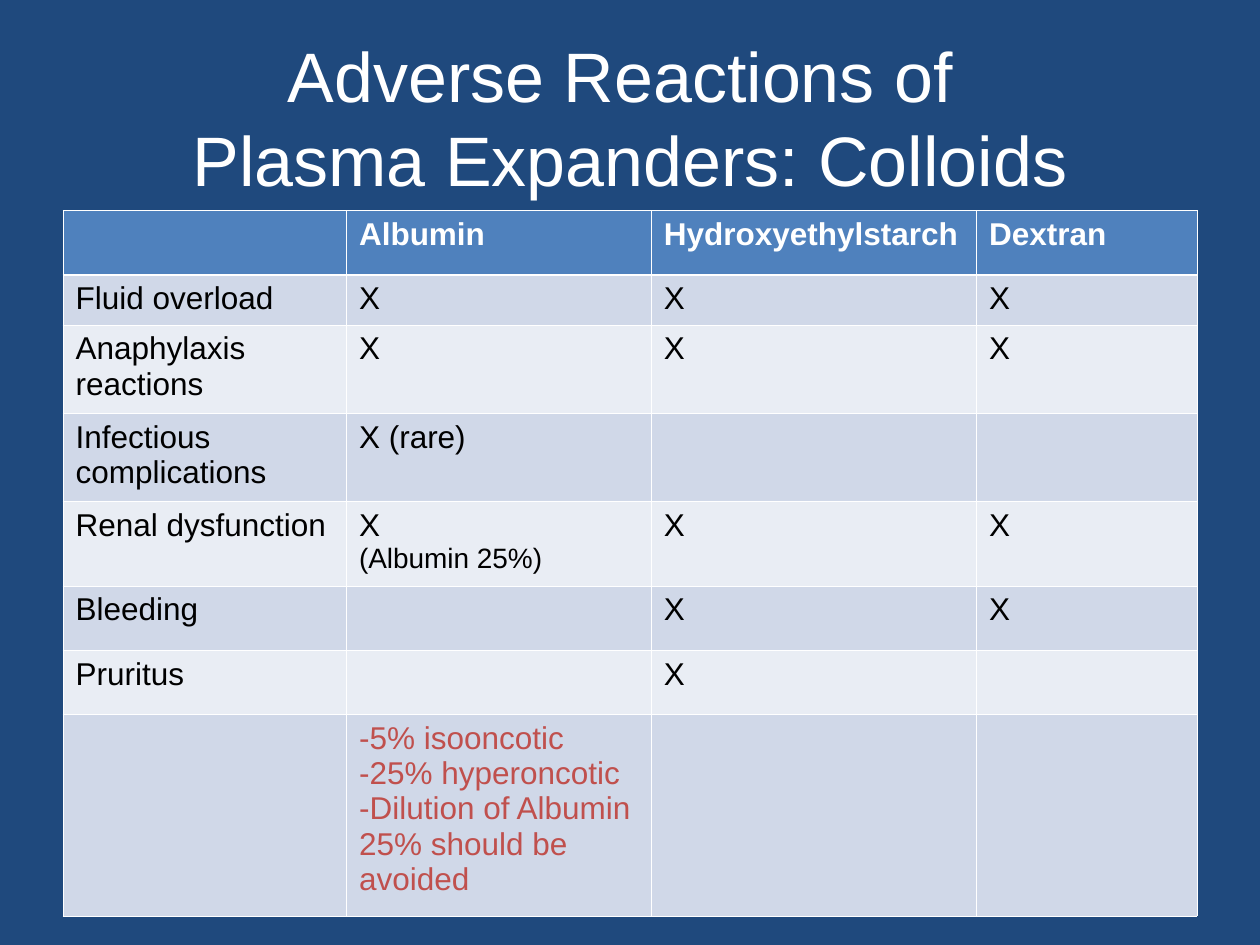
from dataclasses import dataclass

from lxml.etree import SubElement
from pptx import Presentation
from pptx.dml.color import RGBColor
from pptx.enum.text import MSO_ANCHOR, PP_ALIGN
from pptx.oxml.ns import qn
from pptx.slide import Slide
from pptx.table import _Cell
from pptx.text.text import _Paragraph
from pptx.util import Inches, Pt

COLORS = {
    "background": "1F497D",
    "header": "4F81BD",
    "odd_row": "D0D8E8",
    "even_row": "E9EDF4",
    "white": "FFFFFF",
    "black": "000000",
    "accent": "C0504D",
}
FONT_NAME = "Arial"
SLIDE_WIDTH = Inches(10)
SLIDE_HEIGHT = Inches(7.5)
COLUMN_WIDTHS = (2.25, 2.42, 2.58, 1.75)
THIN_LINE = 0.45
HEADER_LINE = 1.47


@dataclass(frozen=True)
class Line:
    text: str
    size: float = 18
    color: str = "black"
    bold: bool = False


@dataclass(frozen=True)
class Row:
    height: float
    cells: tuple[tuple[Line, ...], ...]


def header(text: str) -> tuple[Line, ...]:
    return (Line(text, color="white", bold=True),)


EMPTY: tuple[Line, ...] = ()
MARK = (Line("X"),)
ALBUMIN_NOTES = tuple(
    Line(text, color="accent")
    for text in (
        "-5% isooncotic",
        "-25% hyperoncotic",
        "-Dilution of Albumin 25% should be avoided",
    )
)
ROWS = (
    Row(0.51, (EMPTY, header("Albumin"), header("Hydroxyethylstarch"), header("Dextran"))),
    Row(0.4, ((Line("Fluid overload"),), MARK, MARK, MARK)),
    Row(0.7, ((Line("Anaphylaxis reactions"),), MARK, MARK, MARK)),
    Row(0.7, ((Line("Infectious complications"),), (Line("X (rare)"),), EMPTY, EMPTY)),
    Row(0.67, ((Line("Renal dysfunction"),), (*MARK, Line("(Albumin 25%)", 16)), MARK, MARK)),
    Row(0.51, ((Line("Bleeding"),), EMPTY, MARK, MARK)),
    Row(0.51, ((Line("Pruritus"),), EMPTY, MARK, EMPTY)),
    Row(1.6, (EMPTY, ALBUMIN_NOTES, EMPTY, EMPTY)),
)


def color_of(name: str) -> RGBColor:
    return RGBColor.from_string(COLORS[name])


def add_run(paragraph: _Paragraph, line: Line) -> None:
    run = paragraph.add_run()
    run.text = line.text
    run.font.name = FONT_NAME
    run.font.size = Pt(line.size)
    run.font.bold = line.bold
    run.font.color.rgb = color_of(line.color)


def add_title(slide: Slide) -> None:
    title = slide.shapes.add_textbox(
        int(SLIDE_WIDTH * 0.05), int(SLIDE_HEIGHT * 0.04),
        int(SLIDE_WIDTH * 0.9), Inches(1.25),
    )
    frame = title.text_frame
    frame.word_wrap = True
    frame.vertical_anchor = MSO_ANCHOR.MIDDLE
    paragraph = frame.paragraphs[0]
    paragraph.alignment = PP_ALIGN.CENTER
    paragraph.line_spacing = Pt(48)
    add_run(paragraph, Line("Adverse Reactions of ", 40, "white"))
    paragraph.add_line_break()
    add_run(paragraph, Line("Plasma Expanders: Colloids", 40, "white"))


def set_borders(cell: _Cell, row_index: int) -> None:
    widths = {
        "a:lnL": THIN_LINE,
        "a:lnR": THIN_LINE,
        "a:lnT": HEADER_LINE if row_index == 1 else THIN_LINE,
        "a:lnB": HEADER_LINE if row_index == 0 else THIN_LINE,
    }
    properties = cell._tc.get_or_add_tcPr()
    for tag, width in widths.items():
        border = SubElement(properties, qn(tag), w=str(int(Pt(width))))
        fill = SubElement(border, qn("a:solidFill"))
        SubElement(fill, qn("a:srgbClr"), val=COLORS["white"])


def fill_cell(cell: _Cell, lines: tuple[Line, ...], row_index: int) -> None:
    set_borders(cell, row_index)
    band = "odd_row" if row_index % 2 else "even_row"
    cell.fill.solid()
    cell.fill.fore_color.rgb = color_of(band if row_index else "header")
    frame = cell.text_frame
    for index, line in enumerate(lines):
        paragraph = frame.add_paragraph() if index else frame.paragraphs[0]
        add_run(paragraph, line)


def add_reaction_table(slide: Slide) -> None:
    table = slide.shapes.add_table(
        len(ROWS), len(COLUMN_WIDTHS),
        int(SLIDE_WIDTH * 0.05), Inches(1.67),
        int(SLIDE_WIDTH * 0.9), Inches(sum(row.height for row in ROWS)),
    ).table
    for column, width in zip(table.columns, COLUMN_WIDTHS):
        column.width = Inches(width)
    for row_index, row in enumerate(ROWS):
        table.rows[row_index].height = Inches(row.height)
        for column_index, lines in enumerate(row.cells):
            fill_cell(table.cell(row_index, column_index), lines, row_index)


def main() -> None:
    presentation = Presentation()
    presentation.slide_width = SLIDE_WIDTH
    presentation.slide_height = SLIDE_HEIGHT
    slide = presentation.slides.add_slide(presentation.slide_layouts[6])
    slide.background.fill.solid()
    slide.background.fill.fore_color.rgb = color_of("background")
    add_title(slide)
    add_reaction_table(slide)
    presentation.save("out.pptx")


if __name__ == "__main__":
    main()
